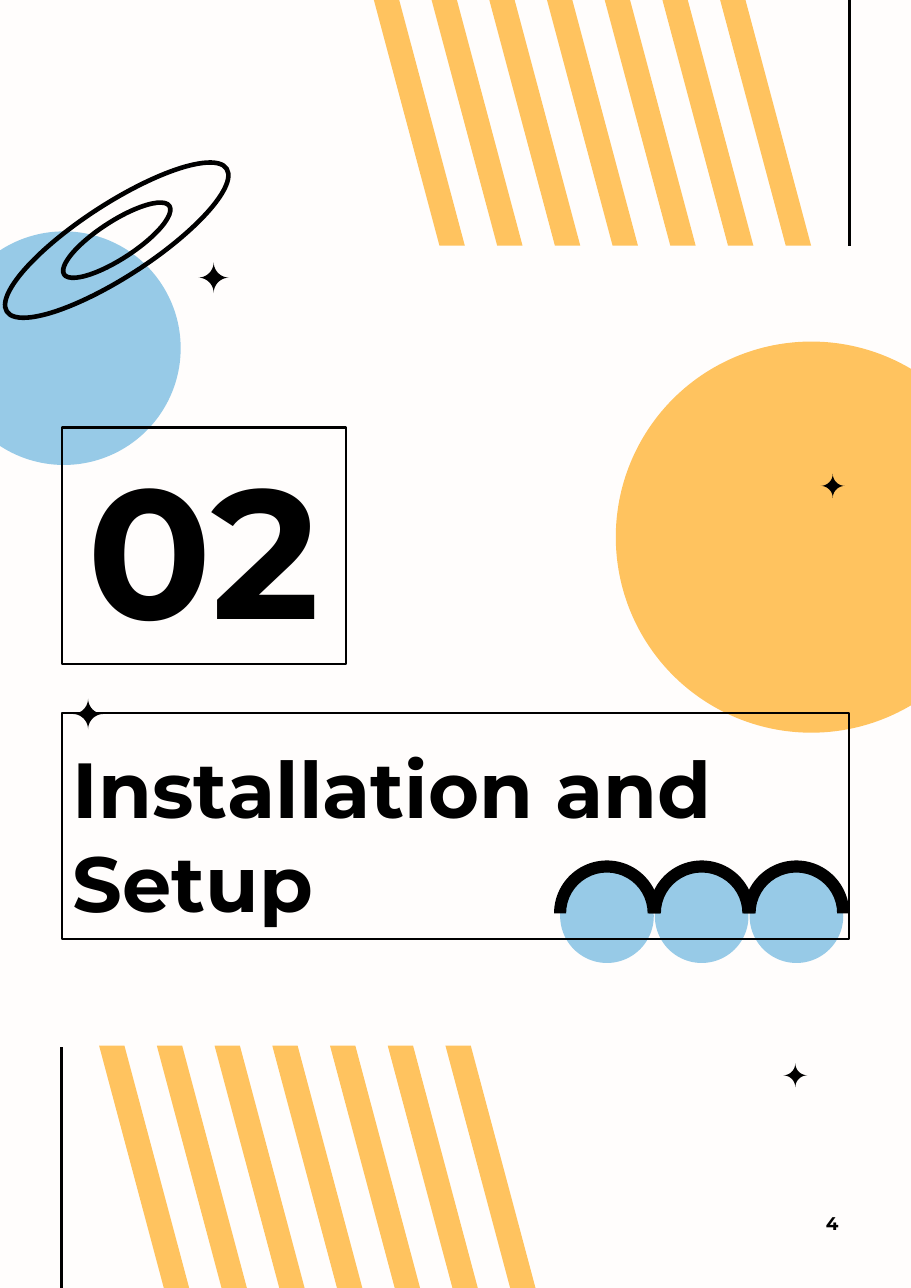
from dataclasses import dataclass
from math import cos, pi, sin

from lxml.etree import SubElement
from pptx import Presentation
from pptx.dml.color import RGBColor
from pptx.enum.shapes import MSO_CONNECTOR, MSO_SHAPE
from pptx.enum.text import MSO_ANCHOR, PP_ALIGN
from pptx.oxml.ns import qn
from pptx.util import Inches, Pt


@dataclass(frozen=True)
class Theme:
    paper: RGBColor = RGBColor.from_string("FFFDFC")
    ink: RGBColor = RGBColor.from_string("000000")
    yellow: RGBColor = RGBColor.from_string("FFC35F")
    blue: RGBColor = RGBColor.from_string("97CAE7")
    font: str = "Montserrat"
    number_size: int = 120
    title_size: int = 51
    page_size: int = 12
    frame_line: float = 1.5
    rule_line: float = 2.25
    ring_line: float = 3


THEME = Theme()
WIDTH, HEIGHT = 8.27, 11.69
LEFT, RIGHT = 0.56, 7.71


def style(shape, fill=None, line=None):
    """Give a shape a flat fill, or an ink outline of the given width, or both."""
    shape.shadow.inherit = False
    if fill is None:
        shape.fill.background()
    else:
        shape.fill.solid()
        shape.fill.fore_color.rgb = fill
    if line is None:
        shape.line.fill.background()
    else:
        shape.line.color.rgb = THEME.ink
        shape.line.width = Pt(line)
    return shape


def add_preset(slide, kind, left, top, width, height, **look):
    shape = slide.shapes.add_shape(
        kind, Inches(left), Inches(top), Inches(width), Inches(height))
    return style(shape, **look)


def add_polygon(slide, points, fill):
    corners = [(Inches(x), Inches(y)) for x, y in points]
    builder = slide.shapes.build_freeform(*corners[0])
    builder.add_line_segments(corners[1:], close=True)
    return style(builder.convert_to_shape(), fill=fill)


def write_text(shape, text, size, align=PP_ALIGN.LEFT, anchor=MSO_ANCHOR.MIDDLE):
    frame = shape.text_frame
    frame.word_wrap = True
    frame.vertical_anchor = anchor
    frame.margin_left = frame.margin_right = Inches(0.1)
    frame.margin_top = frame.margin_bottom = Inches(0.1)
    paragraph = frame.paragraphs[0]
    paragraph.alignment = align
    run = paragraph.add_run()
    run.text = text
    run.font.name = THEME.font
    run.font.size = Pt(size)
    run.font.bold = True
    run.font.color.rgb = THEME.ink


def add_stripes(slide, left, top, count=7):
    """Place a row of slanted yellow bars."""
    step, bar, slant, height = 0.524, 0.23, 0.7, 2.62
    for index in range(count):
        x = left + index * step
        add_polygon(slide, [(x, top), (x + bar, top),
                            (x + bar + slant, top + height),
                            (x + slant, top + height)], THEME.yellow)


def add_rule(slide, x, top, bottom):
    rule = slide.shapes.add_connector(
        MSO_CONNECTOR.STRAIGHT, Inches(x), Inches(bottom), Inches(x), Inches(top))
    rule.line.color.rgb = THEME.ink
    rule.line.width = Pt(THEME.rule_line)
    SubElement(rule.element.spPr, qn("a:effectLst"))


def add_sparkle(slide, left, top, size, steps=10):
    """Draw a four-pointed star whose sides are inward quarter circles."""
    radius = size / 2
    points = []
    for quarter in range(4):
        for step in range(steps):
            angle = step / steps * pi / 2
            x, y = 1 - cos(angle), sin(angle) - 1
            for _ in range(quarter):
                x, y = -y, x
            points.append((left + radius * (1 + x), top + radius * (1 + y)))
    add_polygon(slide, points, THEME.ink)


def add_planet(slide, left, top, diameter):
    """Place the blue disc with its two tilted rings."""
    add_preset(slide, MSO_SHAPE.OVAL, left, top, diameter, diameter, fill=THEME.blue)
    center_x, center_y = left + 1.54, top + 0.08
    for width, height in ((2.38, 0.66), (1.14, 0.34)):
        ring = add_preset(slide, MSO_SHAPE.OVAL, center_x - width / 2,
                          center_y - height / 2, width, height, line=THEME.ring_line)
        ring.rotation = -33


def add_waves(slide, left, top, count=3):
    """Place a row of blue discs, each under a black half ring."""
    step, arc, disc, band = 0.86, 0.96, 0.85, 0.11
    starts = [left + index * step for index in range(count)]
    for x in starts:
        add_preset(slide, MSO_SHAPE.OVAL, x + (arc - disc) / 2, top + 0.08,
                   disc, disc, fill=THEME.blue)
    for x in starts:
        half_ring = add_preset(slide, MSO_SHAPE.BLOCK_ARC, x, top, arc, arc,
                               fill=THEME.ink)
        half_ring.adjustments[2] = band / arc


def add_framed_text(slide, box, text, size, **layout):
    frame = add_preset(slide, MSO_SHAPE.RECTANGLE, *box, line=THEME.frame_line)
    write_text(frame, text, size, **layout)


def add_page_number(slide, box, text):
    label = slide.shapes.add_textbox(*(Inches(length) for length in box))
    write_text(label, text, THEME.page_size, align=PP_ALIGN.RIGHT)


def add_section_slide(presentation, number, title, page):
    slide = presentation.slides.add_slide(presentation.slide_layouts[6])
    slide.background.fill.solid()
    slide.background.fill.fore_color.rgb = THEME.paper

    add_stripes(slide, 0.9, 9.49)
    add_rule(slide, LEFT, 9.5, 11.73)
    add_stripes(slide, 3.29, -0.39)
    add_rule(slide, RIGHT, 0, 2.23)

    add_preset(slide, MSO_SHAPE.OVAL, 5.59, 3.1, 3.55, 3.55, fill=THEME.yellow)
    add_planet(slide, -0.48, 2.1, 2.12)
    add_waves(slide, 5.03, 7.81)
    for left, top, size in ((1.8, 2.38, 0.28), (7.11, 9.65, 0.22), (7.45, 4.3, 0.22)):
        add_sparkle(slide, left, top, size)

    add_page_number(slide, (7.03, 10.94, 0.68, 0.33), page)
    add_framed_text(slide, (LEFT, 6.47, RIGHT - LEFT, 2.05), title,
                    THEME.title_size, anchor=MSO_ANCHOR.BOTTOM)
    add_framed_text(slide, (LEFT, 3.88, 2.58, 2.15), number,
                    THEME.number_size, align=PP_ALIGN.CENTER)
    add_sparkle(slide, 0.66, 6.34, 0.28)


def main():
    presentation = Presentation()
    presentation.slide_width = Inches(WIDTH)
    presentation.slide_height = Inches(HEIGHT)
    add_section_slide(presentation, "02", "Installation and Setup", "4")
    presentation.save("out.pptx")


if __name__ == "__main__":
    main()
